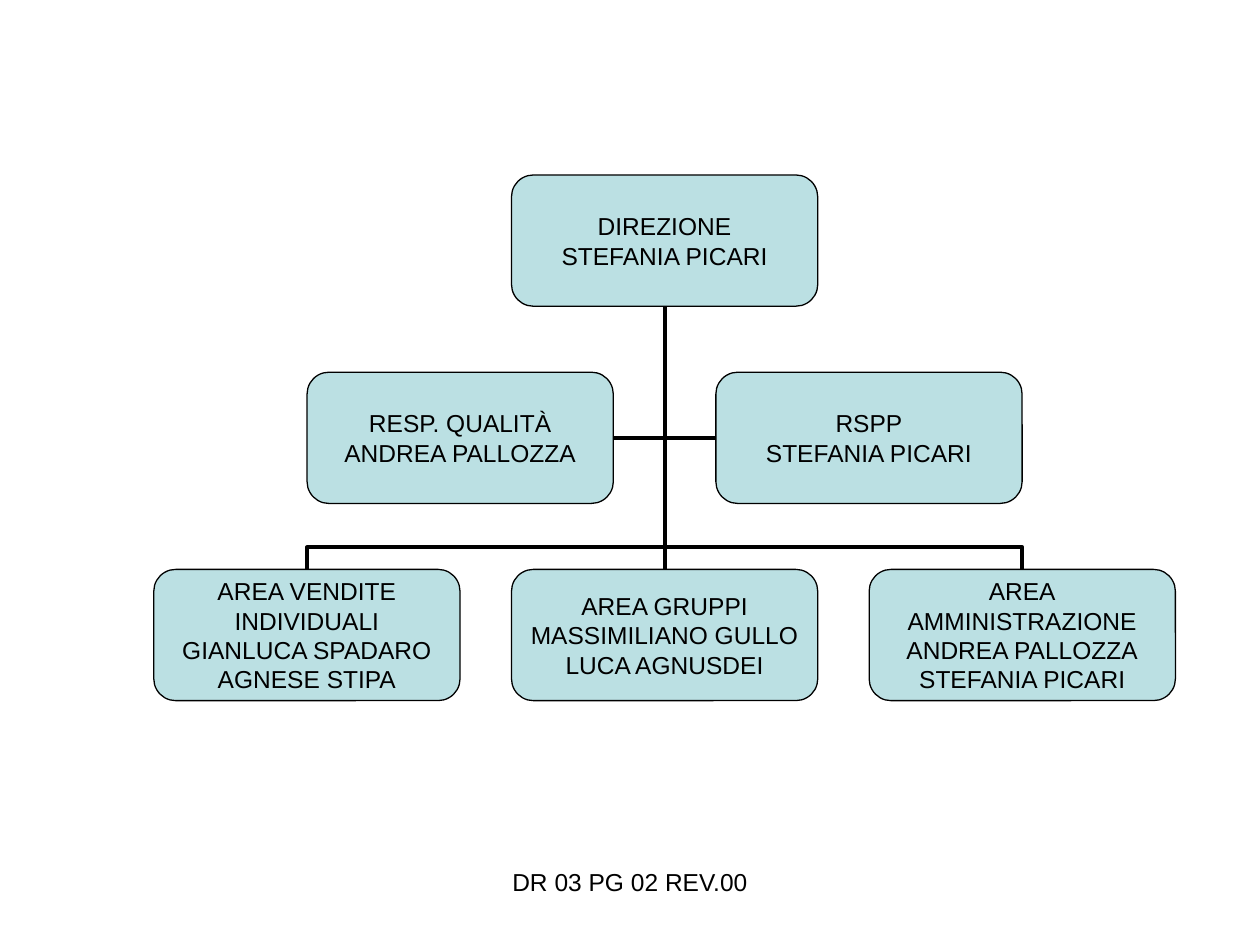
"""Build the company organisation chart slide."""
import pptx
import pptx.dml.color
import pptx.enum.shapes
import pptx.enum.text
import pptx.oxml.ns
import pptx.util
from lxml import etree

Pt = pptx.util.Pt
qn = pptx.oxml.ns.qn
KIND = pptx.enum.shapes
TEXT = pptx.enum.text
BLACK = pptx.dml.color.RGBColor(0, 0, 0)
TEAL = pptx.dml.color.RGBColor(0xBB, 0xE0, 0xE3)

HEAD = ["DIREZIONE", "STEFANIA PICARI"]
STAFF = [
    ["RESP. QUALITÀ", "ANDREA PALLOZZA"],
    ["RSPP", "STEFANIA PICARI"],
]
AREAS = [
    ["AREA VENDITE", "INDIVIDUALI", "GIANLUCA SPADARO", "AGNESE STIPA"],
    ["AREA GRUPPI", "MASSIMILIANO GULLO", "LUCA AGNUSDEI"],
    ["AREA", "AMMINISTRAZIONE", "ANDREA PALLOZZA", "STEFANIA PICARI"],
]
CODE = ["DR 03 PG 02 REV.00"]

WIDE, HIGH = 175, 75
MID, TOP, STEP = 379.8, 100, 112.7
GAPS = {"staff": 233.6, "area": 204.4}
FOOT = TOP + HIGH
BEND = 8400
FONT = {"name": "Arial", "size": Pt(14)}
FRAME = {"margin_left": 0, "margin_right": 0, "margin_top": 0,
         "margin_bottom": 0, "word_wrap": False,
         "vertical_anchor": TEXT.MSO_ANCHOR.MIDDLE}


def style(item, form):
    for key, value in form.items():
        setattr(item, key, value)


def write(frame, lines):
    frame.text = "\n".join(lines)
    for para in frame.paragraphs:
        para.alignment = TEXT.PP_ALIGN.CENTER
        style(para.font, FONT)
        para.font.color.rgb = BLACK


def spread(count, gap):
    return [MID + (i - (count - 1) / 2) * gap for i in range(count)]


def box(slide, lines, x, row):
    shape = slide.shapes.add_shape(
        KIND.MSO_SHAPE.ROUNDED_RECTANGLE, Pt(x - WIDE / 2),
        Pt(TOP + row * STEP), Pt(WIDE), Pt(HIGH))
    shape.shadow.inherit = False
    shape.fill.solid()
    shape.fill.fore_color.rgb = TEAL
    shape.line.color.rgb = BLACK
    shape.line.width = Pt(0.75)
    style(shape.text_frame, FRAME)
    write(shape.text_frame, lines)


def link(slide, start, end):
    link = slide.shapes.add_connector(
        KIND.MSO_CONNECTOR.ELBOW, *(Pt(v) for v in (*start, *end)))
    link.line.color.rgb = BLACK
    link.line.width = Pt(2.25)
    props = link._element.spPr
    etree.SubElement(props, qn("a:effectLst"))
    return props


def elbow(slide, x, y):
    props = link(slide, (x, y), (MID, FOOT))
    props.find(qn("a:prstGeom")).set("prst", "bentConnector2")


def branch(slide, x, y):
    mx, my = (x + MID) / 2, (y + FOOT) / 2
    dx, dy = (x - MID) / 2, (y - FOOT) / 2
    props = link(slide, (mx - dy, my + dx), (mx + dy, my - dx))
    props.find(qn("a:xfrm")).set("rot", str(270 * 60000))
    geom = props.find(qn("a:prstGeom"))
    vals = geom.find(qn("a:avLst"))
    if vals is None:
        vals = etree.SubElement(geom, qn("a:avLst"))
    etree.SubElement(vals, qn("a:gd"), name="adj1", fmla=f"val {BEND}")


def main():
    deck = pptx.Presentation()
    style(deck, {"slide_width": Pt(720), "slide_height": Pt(540)})
    slide = deck.slides.add_slide(deck.slide_layouts[6])
    staff = spread(len(STAFF), GAPS["staff"])
    areas = spread(len(AREAS), GAPS["area"])

    for x in staff:
        edge = x + WIDE / 2 if x < MID else x - WIDE / 2
        elbow(slide, edge, TOP + STEP + HIGH / 2)
    for x in areas:
        join = elbow if abs(x - MID) < 1 else branch
        join(slide, x, TOP + 2 * STEP)

    box(slide, HEAD, MID, 0)
    for row, teams, spots in ((2, AREAS, areas), (1, STAFF, staff)):
        for lines, x in zip(teams, spots):
            box(slide, lines, x, row)

    note = slide.shapes.add_textbox(Pt(246), Pt(491.8), Pt(228), Pt(37.4))
    note.text_frame.word_wrap = True
    write(note.text_frame, CODE)
    deck.save("out.pptx")


if __name__ == "__main__":
    main()
